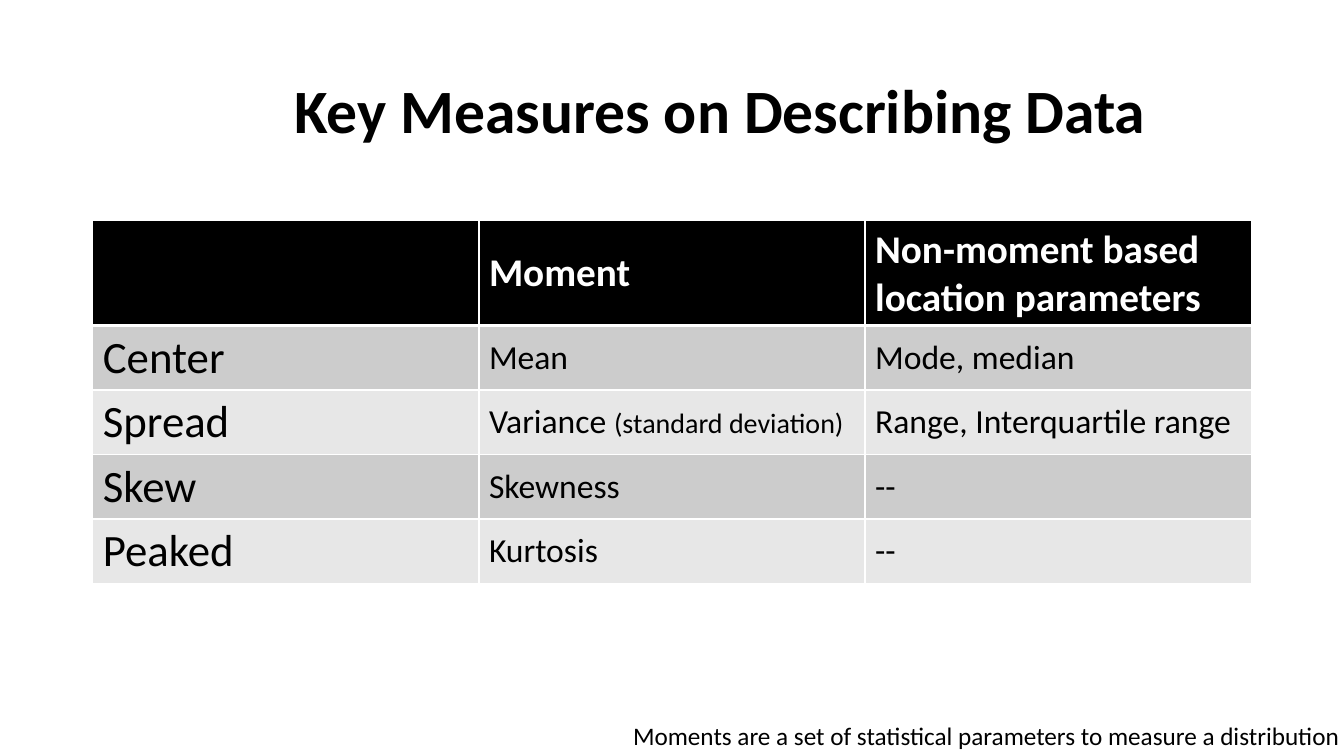
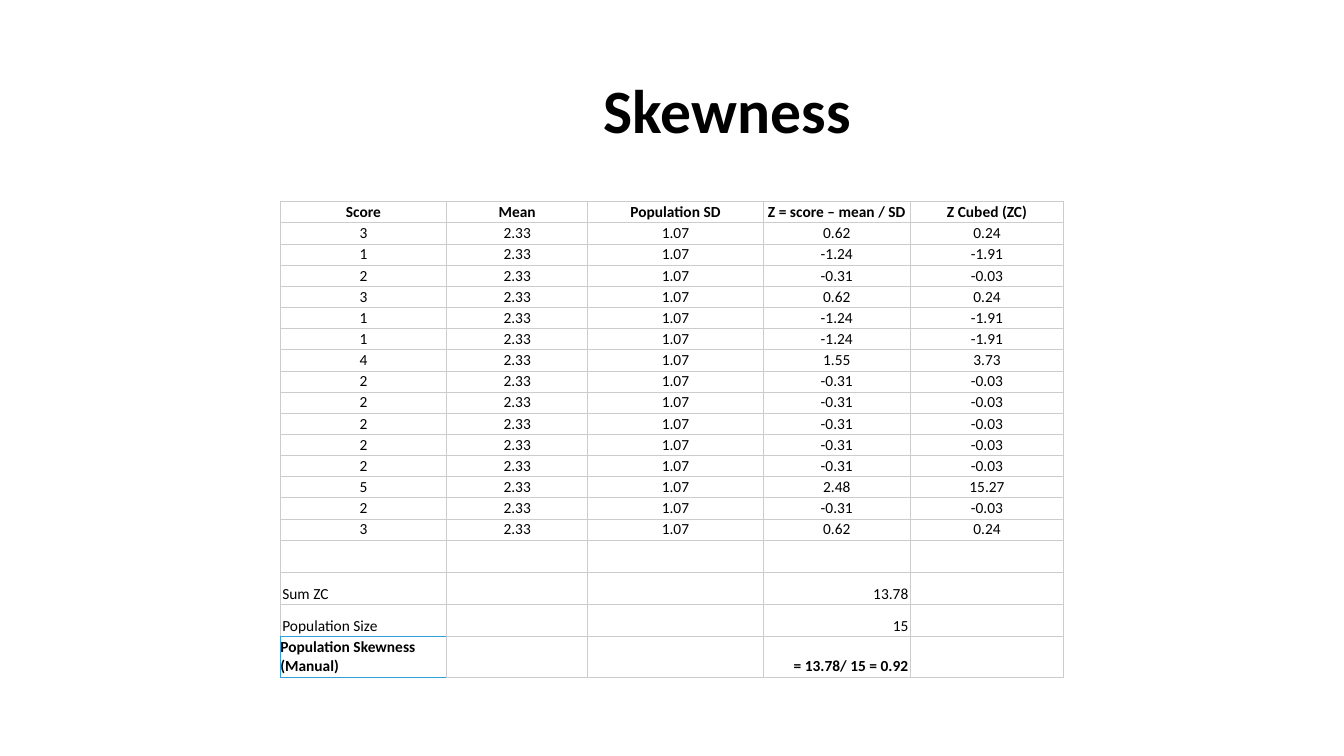
from lxml import etree
from pptx import Presentation
from pptx.dml.color import RGBColor
from pptx.enum.text import MSO_ANCHOR, PP_ALIGN
from pptx.oxml.ns import qn
from pptx.util import Pt

PX = 9144
FONT = "Calibri"
BLACK = RGBColor(0x00, 0x00, 0x00)
WHITE = RGBColor(0xFF, 0xFF, 0xFF)
GREY = RGBColor(0xCC, 0xCC, 0xCC)
PALE = RGBColor(0xE7, 0xE7, 0xE7)
BLUE = RGBColor(0x30, 0xA0, 0xD7)
LEFT, CENTER, RIGHT = PP_ALIGN.LEFT, PP_ALIGN.CENTER, PP_ALIGN.RIGHT
MIDDLE, BOTTOM = MSO_ANCHOR.MIDDLE, MSO_ANCHOR.BOTTOM

MEASURES = [
    ("", "Moment", "Non-moment based location parameters"),
    ("Center", "Mean", "Mode, median"),
    ("Spread", "Variance ", "Range, Interquartile range"),
    ("Skew", "Skewness", "--"),
    ("Peaked", "Kurtosis", "--"),
]
HEADS = ("Score", "Mean", "Population SD", "Z = score – mean / SD", "Z Cubed (ZC)")
SCORES = (3, 1, 2, 3, 1, 1, 4, 2, 2, 2, 2, 2, 5, 2, 3)
CUBES = {
    1: ("-1.24", "-1.91"),
    2: ("-0.31", "-0.03"),
    3: ("0.62", "0.24"),
    4: ("1.55", "3.73"),
    5: ("2.48", "15.27"),
}
TOTALS = [
    ("", ""),
    ("Sum ZC", "13.78"),
    ("Population Size", "15"),
    ("Population Skewness (Manual)", "= 13.78/ 15 = 0.92"),
]


def style(par, size, color=BLACK, bold=False, align=LEFT):
    par.alignment = align
    font = par.font
    font.name, font.size, font.bold = FONT, Pt(size), bold
    font.color.rgb = color


def add_text(slide, box, text, size, bold=False, align=LEFT):
    frame = slide.shapes.add_textbox(*(n * PX for n in box)).text_frame
    frame.word_wrap = True
    par = frame.paragraphs[0]
    par.text = text
    style(par, size, bold=bold, align=align)
    return frame


def add_title(slide, text):
    frame = add_text(slide, (201, 40, 1041, 145), text, 44, True, CENTER)
    frame.vertical_anchor = MIDDLE
    frame.paragraphs[0].line_spacing = 0.9


def add_grid(slide, left, top, widths, heights):
    box = (left, top, sum(widths), sum(heights))
    grid = slide.shapes.add_table(
        len(heights), len(widths), *(n * PX for n in box)).table
    grid.first_row = grid.horz_banding = False
    for col, width in zip(grid.columns, widths):
        col.width = width * PX
    for row, height in zip(grid.rows, heights):
        row.height = height * PX
    return grid


def set_edges(cell, color, width, **odd):
    props = cell._tc.get_or_add_tcPr()
    for side in "LRTB":
        tint, points = odd.get(side, (color, width))
        line = etree.SubElement(props, qn("a:ln" + side), w=str(Pt(points)))
        fill = etree.SubElement(line, qn("a:solidFill"))
        etree.SubElement(fill, qn("a:srgbClr"), val=str(tint))


def set_text(cell, text, anchor, size, **looks):
    cell.text = text
    cell.vertical_anchor = anchor
    style(cell.text_frame.paragraphs[0], size, **looks)


def set_pad(cell, side, end):
    cell.margin_left = cell.margin_right = side * PX
    cell.margin_top = cell.margin_bottom = end * PX


def draw_key(slide):
    add_title(slide, "Key Measures on Describing Data ")
    grid = add_grid(slide, 92, 219, [383] * 3, [104] + [64] * 4)
    thick = (WHITE, 3)
    for r, texts in enumerate(MEASURES):
        head = r == 0
        odd = {"B": thick} if head else {"T": thick} if r == 1 else {}
        for c, text in enumerate(texts):
            cell = grid.cell(r, c)
            set_edges(cell, WHITE, 1, **odd)
            cell.fill.solid()
            cell.fill.fore_color.rgb = BLACK if head else GREY if r % 2 else PALE
            size = 28 if head else 24 if c else 32
            set_text(cell, text, MIDDLE, size,
                     color=WHITE if head else BLACK, bold=head)
    run = grid.cell(2, 1).text_frame.paragraphs[0].add_run()
    run.text = "(standard deviation)"
    run.font.size = Pt(20)
    add_text(slide, (618, 710, 949, 40),
             "Moments are a set of statistical parameters to measure a distribution", 18)


def draw_skew(slide):
    add_title(slide, "Skewness")
    rows = [HEADS]
    rows += [(str(n), "2.33", "1.07", *CUBES[n]) for n in SCORES]
    body = len(rows)
    rows += [(name, "", "", value, "") for name, value in TOTALS]
    last = len(rows) - 1
    heights = [21] * body + [32] * 3 + [40]
    grid = add_grid(slide, 278, 200, [165, 140, 174, 146, 152], heights)
    blue = (BLUE, 0.5)
    edges = {(last - 1, 0): {"B": blue},
             (last, 0): {"L": blue, "T": blue, "B": blue}}
    for r, texts in enumerate(rows):
        for c, text in enumerate(texts):
            cell = grid.cell(r, c)
            set_edges(cell, GREY, 0.5, **edges.get((r, c), {}))
            cell.fill.background()
            set_pad(cell, 0 if (r, c) == (last, 0) else 2, 1)
            align = CENTER if r < body else RIGHT if c else LEFT
            set_text(cell, text, BOTTOM, 11, bold=r in (0, last), align=align)


def main():
    deck = Presentation()
    deck.slide_width, deck.slide_height = 1333 * PX, 750 * PX
    blank = deck.slide_layouts[6]
    for draw in (draw_key, draw_skew):
        draw(deck.slides.add_slide(blank))
    deck.save("out.pptx")


if __name__ == "__main__":
    main()
